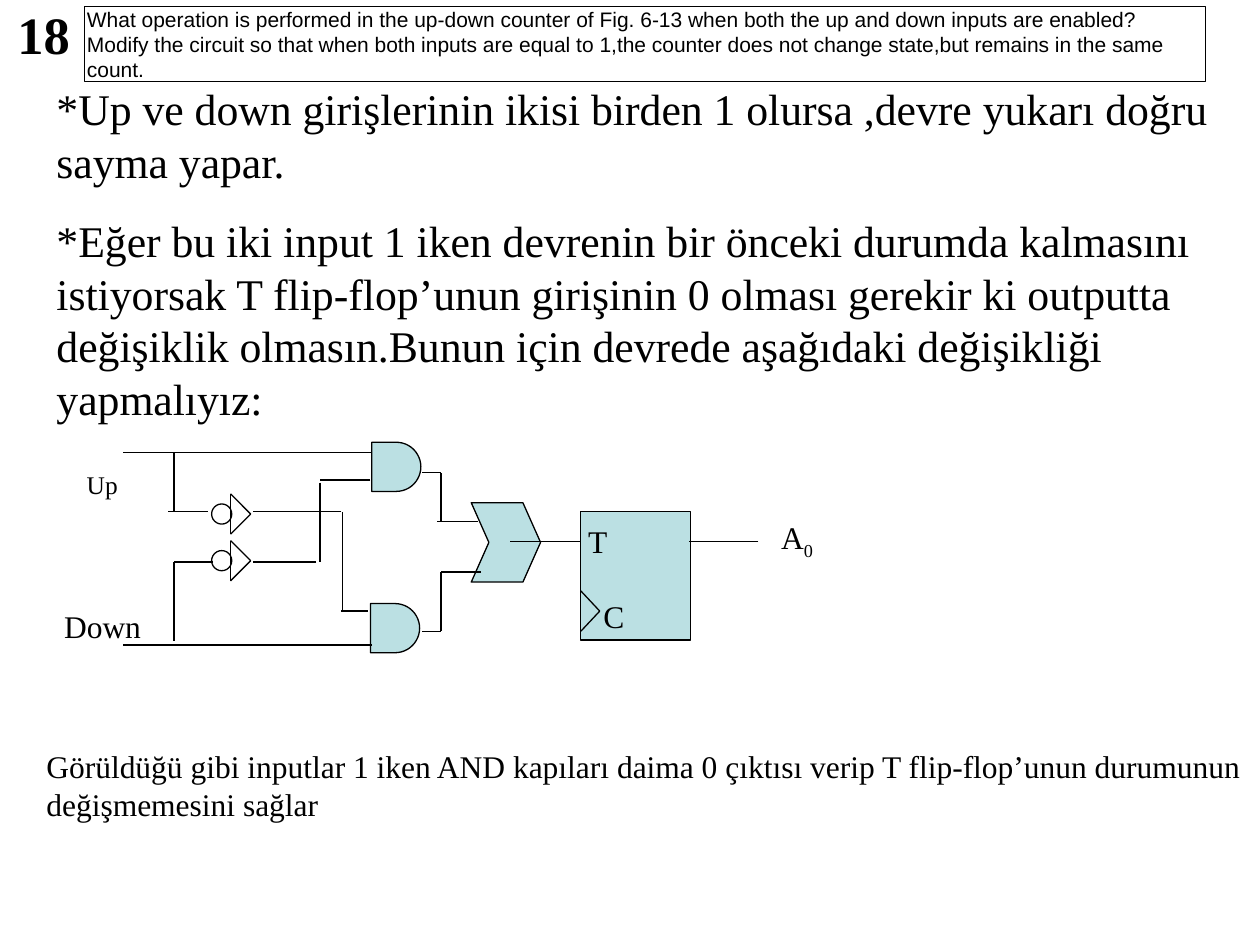
from typing import NamedTuple

from lxml.etree import SubElement
from pptx import Presentation
from pptx.dml.color import RGBColor
from pptx.enum.shapes import MSO_CONNECTOR as Connector, MSO_SHAPE as Shape
from pptx.enum.text import MSO_ANCHOR as Anchor, MSO_AUTO_SIZE as AutoSize, PP_ALIGN as Align
from pptx.oxml.ns import qn
from pptx.util import Inches, Pt

BLACK = RGBColor(0x00, 0x00, 0x00)
GATE_BLUE = RGBColor(0xBB, 0xE0, 0xE3)
SERIF, SANS = "Times New Roman", "Arial"
COLUMNS, ROWS = 100, 75
LINE_WIDTH = Pt(0.75)

deck = Presentation()
deck.slide_width, deck.slide_height = Inches(10), Inches(7.5)
page = deck.slides.add_slide(deck.slide_layouts[5])


class Area(NamedTuple):
    column: float
    row: float
    columns: float
    rows: float


class Wire(NamedTuple):
    column: float
    row: float
    end_column: float
    end_row: float


class Label(NamedTuple):
    area: Area
    runs: list[tuple[str, int]]
    size: float = 18
    bold: bool = False
    wrap: bool = True


def across(columns: float) -> int:
    return round(deck.slide_width * columns / COLUMNS)


def down(rows: float) -> int:
    return round(deck.slide_height * rows / ROWS)


def place(area: Area) -> tuple[int, int, int, int]:
    return across(area.column), down(area.row), across(area.columns), down(area.rows)


def write(para, runs: list[tuple[str, int]], size: float, font: str = SERIF, bold: bool = False) -> None:
    para.alignment = Align.LEFT
    for text, baseline in runs:
        span = para.add_run()
        span.text = text
        span.font.name, span.font.size, span.font.bold = font, Pt(size), bold
        span.font.color.rgb = BLACK
        if baseline:
            span.font._element.set("baseline", str(baseline * 1000))


def add_label(label: Label) -> None:
    frame = page.shapes.add_textbox(*place(label.area)).text_frame
    frame.word_wrap = label.wrap
    write(frame.paragraphs[0], label.runs, label.size, bold=label.bold)


def finish(shape, fill: RGBColor | None) -> None:
    shape.shadow.inherit = False
    shape.line.color.rgb, shape.line.width = BLACK, LINE_WIDTH
    if fill is None:
        shape.fill.background()
    else:
        shape.fill.solid()
        shape.fill.fore_color.rgb = fill


def add_part(kind: Shape, area: Area, fill: RGBColor | None = None) -> None:
    finish(page.shapes.add_shape(kind, *place(area)), fill)


def add_wire(wire: Wire) -> None:
    line = page.shapes.add_connector(
        Connector.STRAIGHT,
        across(wire.column), down(wire.row), across(wire.end_column), down(wire.end_row),
    )
    line.line.color.rgb, line.line.width = BLACK, LINE_WIDTH
    SubElement(line._element.spPr, qn("a:effectLst"))


def add_or_gate(area: Area, notch: float) -> None:
    left, top, width, height = area
    right, bottom, middle = left + width, top + height, top + height / 2
    corners = [(right - notch, top), (right, middle), (right - notch, bottom),
               (left, bottom), (left + notch, middle)]
    builder = page.shapes.build_freeform(across(left), down(top))
    builder.add_line_segments([(across(x), down(y)) for x, y in corners], close=True)
    finish(builder.convert_to_shape(), GATE_BLUE)


def add_inverter(row: float) -> None:
    left, tip, half = 18.3, 19.9, 1.6
    add_part(Shape.OVAL, Area(16.8, row - 0.8, 1.6, 1.6))
    add_wire(Wire(left, row - half, left, row + half))
    add_wire(Wire(left, row + half, tip, row))
    add_wire(Wire(tip, row, left, row - half))


QUESTION = (
    "What operation is performed in the up-down counter of Fig. 6-13 when both the up and down "
    "inputs are enabled?Modify the circuit so that when both inputs are equal to 1,the counter "
    "does not change state,but remains in the same count."
)
ANSWERS = [
    "*Up ve down girişlerinin ikisi birden 1 olursa ,devre yukarı doğru sayma yapar.",
    "*Eğer bu iki input 1 iken devrenin bir önceki durumda kalmasını istiyorsak T flip-flop’unun "
    "girişinin 0 olması gerekir ki outputta değişiklik olmasın.Bunun için devrede aşağıdaki "
    "değişikliği yapmalıyız:",
]
CONCLUSION = (
    "Görüldüğü gibi inputlar 1 iken AND kapıları daima 0 çıktısı verip T flip-flop’unun "
    "durumunun değişmemesini sağlar"
)

LABELS = [
    Label(Area(61, 40.6, 7.1, 4.4), [("A", 0), ("0", -25)]),
    Label(Area(45.7, 40.9, 3.5, 4), [("T", 0)], wrap=False),
    Label(Area(46.9, 46.9, 3.6, 4), [("C", 0)], wrap=False),
    Label(Area(5.9, 34.4, 8.7, 5.8), [("Up", -25)], size=25),
    Label(Area(4.1, 47.7, 8.1, 4), [("Down", 0)], wrap=False),
    Label(Area(2.7, 58.8, 97.3, 7), [(CONCLUSION, 0)]),
    Label(Area(0.4, -0.3, 7.1, 6), [("18", 0)], size=30, bold=True),
]

FLIP_FLOP_WIRES = [
    Wire(46.1, 43, 40.5, 43), Wire(60.2, 43, 54.7, 43),
    Wire(47.6, 48.5, 46.1, 50.1), Wire(47.6, 48.5, 46.1, 46.9),
]
OR_INPUT_WIRES = [
    Wire(33.5, 50.1, 35, 50.1), Wire(35, 50.1, 35, 45.4), Wire(35, 45.4, 38.2, 45.4),
    Wire(33.5, 37.5, 35, 37.5), Wire(35, 41.4, 35, 37.5), Wire(34.7, 41.4, 37.9, 41.4),
]
CROSSING_WIRES = [
    Wire(27.1, 40.6, 20.1, 40.6), Wire(27.2, 48.5, 27.2, 40.6), Wire(29.2, 48.5, 27.1, 48.5),
    Wire(25.1, 44.6, 20.1, 44.6), Wire(25.4, 38.3, 25.4, 44.6), Wire(29.4, 38.1, 25.4, 38.1),
]
INPUT_WIRES = [
    Wire(29.5, 35.9, 9.8, 35.9), Wire(15.8, 35.9, 13.5, 35.9),
    Wire(13.8, 40.6, 13.8, 35.9), Wire(16.5, 40.6, 13.3, 40.6),
    Wire(29.5, 51.2, 9.8, 51.2), Wire(15.8, 51.2, 13.5, 51.2),
    Wire(13.8, 44.6, 13.8, 50.9), Wire(16.9, 44.6, 13.8, 44.6),
]

title = page.shapes.title
title.left, title.top, title.width, title.height = place(Area(5.9, 0, 89.8, 7))
title.text_frame.auto_size = AutoSize.NONE
title.text_frame.vertical_anchor = Anchor.TOP
title.text_frame.word_wrap = True
write(title.text_frame.paragraphs[0], [(QUESTION, 0)], 12, SANS)
add_part(Shape.RECTANGLE, Area(6.7, 0.5, 89, 6))

answer_frame = page.shapes.add_textbox(*place(Area(3.5, 6, 100, 28.2))).text_frame
answer_frame.word_wrap = True
for index, answer in enumerate(ANSWERS):
    para = answer_frame.add_paragraph() if index else answer_frame.paragraphs[0]
    para.space_before = Pt(15.6 if index else 0)
    write(para, [(answer, 0)], 25)

add_part(Shape.RECTANGLE, Area(46.1, 40.6, 8.7, 10.2), GATE_BLUE)
add_or_gate(Area(37.4, 39.9, 5.5, 6.3), notch=1.4)
for column, row in [(29.5, 35.1), (29.4, 47.9)]:
    add_part(Shape.FLOWCHART_DELAY, Area(column, row, 3.9, 3.9), GATE_BLUE)
for wire in FLIP_FLOP_WIRES + OR_INPUT_WIRES + CROSSING_WIRES + INPUT_WIRES:
    add_wire(wire)
for inverter_row in (40.8, 44.5):
    add_inverter(inverter_row)
for label in LABELS:
    add_label(label)

deck.save("out.pptx")
